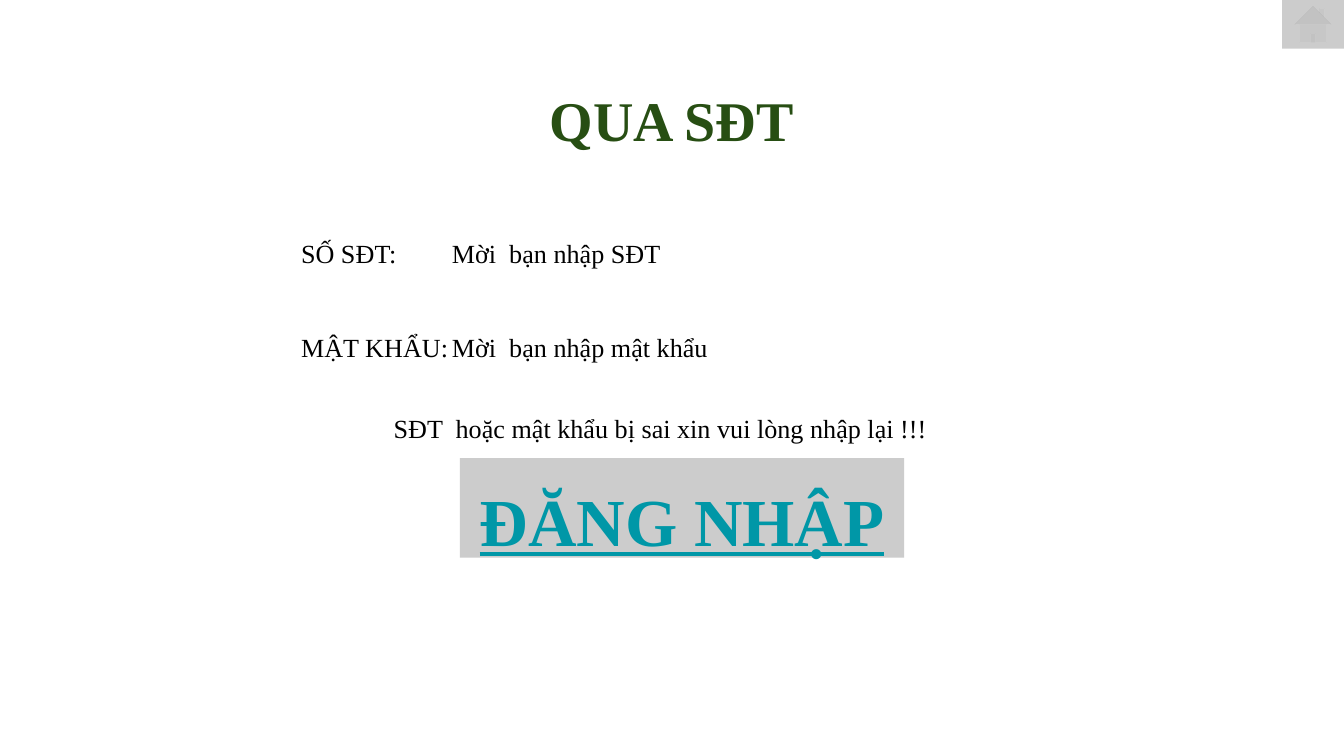
from pptx import Presentation, util as u
from pptx.dml.color import RGBColor
from pptx.enum import shapes, text
from pptx.oxml.ns import qn
from lxml import etree

FONT = "Times New Roman"
LEFT, MID = text.PP_ALIGN.LEFT, text.PP_ALIGN.CENTER


def paint(fill, tone):
    fill.solid()
    fill.fore_color.rgb = RGBColor.from_string(tone)


def write(shape, words, size=14, tone="000000", bold=False, line=False,
          align=LEFT, pad=0.25):
    frame = shape.text_frame
    frame.word_wrap = True
    frame.vertical_anchor = text.MSO_ANCHOR.TOP
    frame.margin_left = frame.margin_right = u.Cm(0.25)
    frame.margin_top = frame.margin_bottom = u.Cm(pad)
    para = frame.paragraphs[0]
    para.text = words
    para.alignment = align
    para.line_spacing = 1.1
    font = para.font
    font.name, font.size, font.bold = FONT, u.Pt(size), bold
    font.underline = line
    font.color.rgb = RGBColor.from_string(tone)


def label(slide, box, words, **style):
    write(slide.shapes.add_textbox(*map(u.Cm, box)), words, **style)


def block(slide, kind, box, tone):
    shape = slide.shapes.add_shape(kind, *map(u.Cm, box))
    shape.shadow.inherit = False
    paint(shape.fill, tone)
    shape.line.fill.background()
    return shape


def form(slide, box, rows):
    """Stack rows of a field name and its prompt evenly in the box."""
    left, top, width, height = box
    step = height / len(rows)
    indent = 2.85
    for i, (name, prompt) in enumerate(rows):
        y = top + i * step
        label(slide, (left, y, 4.04, 1.6), name)
        label(slide, (left + indent, y, width - indent, 1.14), prompt)


def button(slide, box, words):
    shape = block(slide, shapes.MSO_SHAPE.RECTANGLE, box, "CCCCCC")
    write(shape, words, size=36, tone="0097A7", bold=True, line=True, align=MID)


def home(slide, box):
    shape = block(slide, shapes.MSO_SHAPE.ACTION_BUTTON_HOME, box, "595959")
    color = shape.fill._xPr.find(qn("a:solidFill"))[0]
    etree.SubElement(color, qn("a:alpha"), val="30000")


def main():
    deck = Presentation()
    deck.slide_width, deck.slide_height = u.Cm(25.4), u.Cm(14.29)
    slide = deck.slides.add_slide(deck.slide_layouts[6])
    paint(slide.background.fill, "FFFFFF")

    label(slide, (0.86, 1.24, 23.67, 1.6), "QUA SĐT",
          size=30, tone="274E13", bold=True, align=MID)
    form(slide, (5.44, 4.17, 11.13, 3.56), [
        ("SỐ SĐT:", "Mời  bạn nhập SĐT"),
        ("MẬT KHẨU:", "Mời  bạn nhập mật khẩu"),
    ])
    button(slide, (8.69, 8.66, 8.4, 1.88), "ĐĂNG NHẬP")
    home(slide, (24.23, 0, 1.17, 0.92))
    label(slide, (7.19, 7.6, 11.28, 1.44),
          "SĐT  hoặc mật khẩu bị sai xin vui lòng nhập lại !!!", pad=0.13)
    deck.save("out.pptx")


if __name__ == "__main__":
    main()
